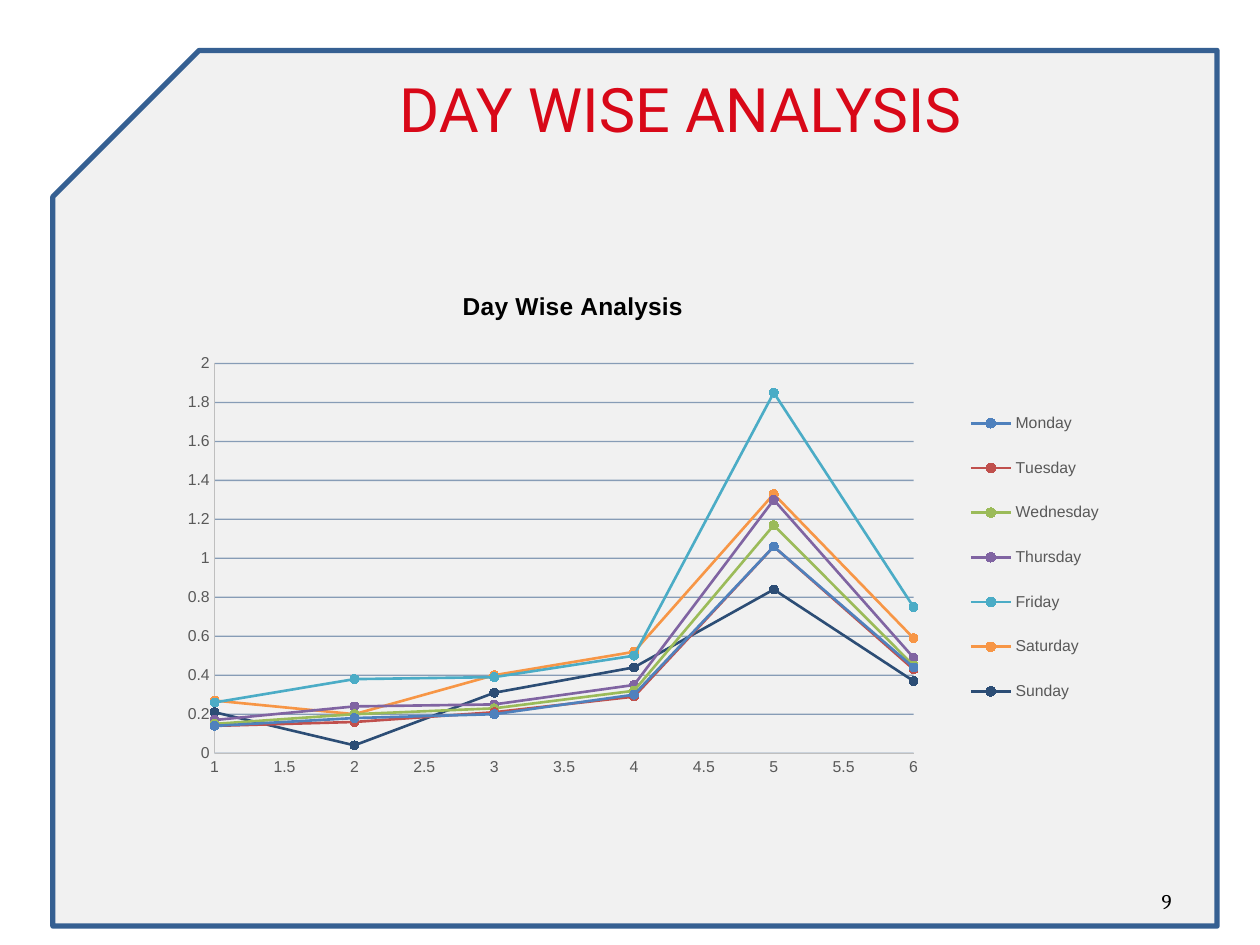
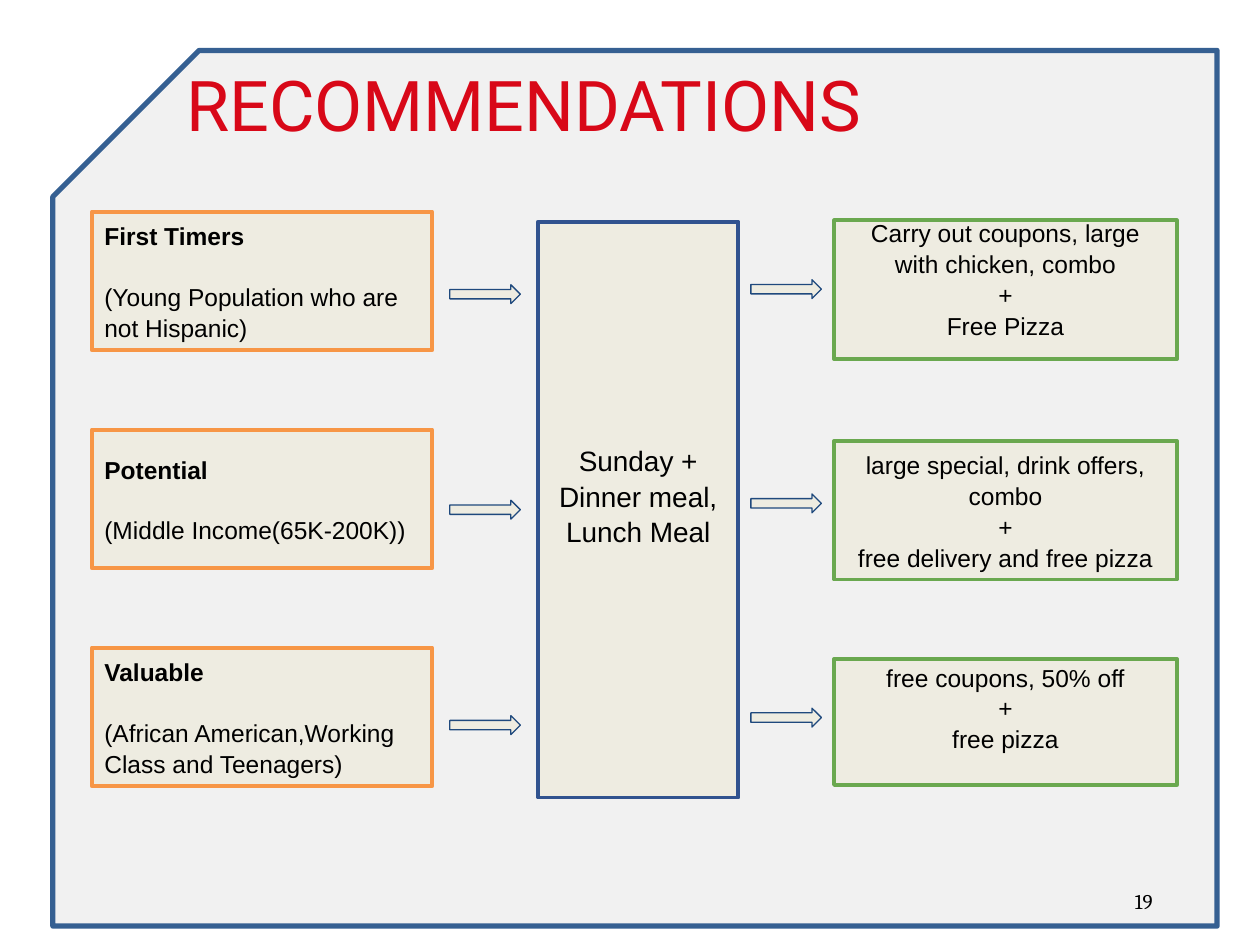
from lxml import etree
from pptx import Presentation
from pptx.chart.data import XyChartData
from pptx.dml.color import RGBColor
from pptx.enum.chart import XL_CHART_TYPE, XL_LEGEND_POSITION, XL_MARKER_STYLE, XL_TICK_MARK
from pptx.enum.shapes import MSO_SHAPE
from pptx.enum.text import MSO_ANCHOR, PP_ALIGN
from pptx.oxml.ns import qn
from pptx.util import Inches, Pt

SNIP, RECT, ARROW = MSO_SHAPE.SNIP_1_RECTANGLE, MSO_SHAPE.RECTANGLE, MSO_SHAPE.RIGHT_ARROW
LEFT, CENTER = PP_ALIGN.LEFT, PP_ALIGN.CENTER
MIDDLE = MSO_ANCHOR.MIDDLE
SCATTER = XL_CHART_TYPE.XY_SCATTER_LINES
RIGHT = XL_LEGEND_POSITION.RIGHT
CIRCLE = XL_MARKER_STYLE.CIRCLE
NO_TICK = XL_TICK_MARK.NONE

DAYS = [
    ("Monday", "4F81BD", (0.14, 0.18, 0.2, 0.3, 1.06, 0.44)),
    ("Tuesday", "C0504D", (0.14, 0.16, 0.21, 0.29, 1.06, 0.43)),
    ("Wednesday", "9BBB59", (0.15, 0.2, 0.23, 0.32, 1.17, 0.45)),
    ("Thursday", "8064A2", (0.17, 0.24, 0.25, 0.35, 1.3, 0.49)),
    ("Friday", "4BACC6", (0.26, 0.38, 0.39, 0.5, 1.85, 0.75)),
    ("Saturday", "F79646", (0.27, 0.2, 0.4, 0.52, 1.33, 0.59)),
    ("Sunday", "2C4D75", (0.21, 0.04, 0.31, 0.44, 0.84, 0.37)),
]
GROUPS = [
    ("First Timers", "(Young Population who are not Hispanic)"),
    ("Potential", "(Middle Income(65K-200K))"),
    ("Valuable", "(African American,Working Class and Teenagers)"),
]
OFFERS = [
    (1.75, 1.1, 0.28, ("Carry out coupons, large with chicken, combo", "+", "Free Pizza")),
    (3.5, 1.1, 0.1, ("large special, drink offers, combo", "+", "free delivery and free pizza")),
    (5.23, 1, 0.33, ("free coupons, 50% off", "+", "free pizza")),
]


def color(code):
    return RGBColor.from_string(code)


def fade(root, share):
    tone = root.find(".//" + qn("a:srgbClr"))
    etree.SubElement(tone, qn("a:alpha"), val=str(share * 1000))


def place(part, spot, index, inner=False):
    for old in part.findall(qn("c:layout")):
        part.remove(old)
    layout = etree.Element(qn("c:layout"))
    manual = etree.SubElement(layout, qn("c:manualLayout"))
    if inner:
        etree.SubElement(manual, qn("c:layoutTarget"), val="inner")
    for key in ("xMode", "yMode"):
        etree.SubElement(manual, qn("c:" + key), val="edge")
    for key, share in zip("xywh", spot):
        etree.SubElement(manual, qn("c:" + key), val=str(share))
    part.insert(index, layout)


class Deck:
    red, black, gray = "D80818", "000000", "595959"
    cream, navy = "EEECE1", "1F497D"

    def __init__(self):
        self.show = Presentation()
        self.show.slide_width, self.show.slide_height = Inches(10), Inches(7.5)
        self.slide = None

    def page(self, title, spot, size, align, number, corner):
        self.slide = self.show.slides.add_slide(self.show.slide_layouts[6])
        frame = self.shape(SNIP, (0.42, 0.4, 9.24, 6.95), "D8D8D8", "366092", 3)
        frame.adjustments[0] = 0.167
        frame.element.spPr.xfrm.set("flipH", "1")
        fade(frame.element.spPr, 34)
        self.label(title, spot, size, "Roboto", self.red, align, 0.1)
        self.label(number, corner, 12, "Cambria", self.black, LEFT, 0.05)

    def font(self, font, size, name, tone, bold=False):
        font.size, font.name, font.bold = Pt(size), name, bold
        font.color.rgb = color(tone)

    def text(self, shape, lines, size, name, tone, align, pad=0.1, foot=None):
        frame = shape.text_frame
        frame.word_wrap = True
        frame.vertical_anchor = MIDDLE
        frame.margin_left = frame.margin_right = Inches(0.1)
        frame.margin_top = Inches(pad)
        frame.margin_bottom = Inches(foot or pad)
        frame.text = "\n".join(lines)
        for para in frame.paragraphs:
            para.alignment = align
            for run in para.runs:
                self.font(run.font, size, name, tone)
        return frame.paragraphs

    def label(self, text, spot, size, name, tone, align, pad):
        box = self.slide.shapes.add_textbox(*map(Inches, spot))
        self.text(box, [text], size, name, tone, align, pad)

    def shape(self, kind, spot, fill, line, width):
        shape = self.slide.shapes.add_shape(kind, *map(Inches, spot))
        shape.shadow.inherit = False
        shape.fill.solid()
        shape.fill.fore_color.rgb = color(fill)
        shape.line.color.rgb = color(line)
        shape.line.width = Pt(width)
        return shape

    def card(self, spot, line, lines, align=CENTER, size=14, foot=None):
        box = self.shape(RECT, spot, self.cream, line, 2.25)
        paras = self.text(box, lines, size, "Arial", self.black, align, foot=foot)
        for para in paras:
            para.line_spacing = 1.05
        return paras

    def arrow(self, left, top):
        self.shape(ARROW, (left, top, 0.56, 0.15), self.cream, self.navy, 0.75)

    def axis(self, axis, low, high, step):
        axis.minimum_scale, axis.maximum_scale, axis.major_unit = low, high, step
        axis.has_major_gridlines = axis.has_title = False
        axis.major_tick_mark = axis.minor_tick_mark = NO_TICK
        self.font(axis.tick_labels.font, 9, "Arial", self.gray)
        axis.format.line.color.rgb = color("BFBFBF")
        axis.format.line.width = Pt(0.75)

    def chart(self, title, spot, rows):
        data = XyChartData()
        for name, _, values in rows:
            line = data.add_series(name)
            for x, y in enumerate(values, 1):
                line.add_data_point(x, y)
        chart = self.slide.shapes.add_chart(SCATTER, *map(Inches, spot), data).chart
        self.font(chart.font, 10, "Arial", self.black)
        plot = chart.plots[0]
        plot.vary_by_categories = False
        for line, (_, tone, _) in zip(plot.series, rows):
            line.smooth = False
            line.format.line.color.rgb = color(tone)
            line.format.line.width = Pt(1.5)
            mark = line.marker
            mark.style, mark.size = CIRCLE, 5
            mark.format.fill.solid()
            mark.format.fill.fore_color.rgb = color(tone)
            mark.format.line.color.rgb = color(tone)
        self.axis(chart.category_axis, 1, 6, 0.5)
        self.axis(chart.value_axis, 0, 2, 0.2)
        grid = chart.value_axis.major_gridlines.format.line
        grid.color.rgb = color(self.navy)
        grid.width = Pt(0.75)
        chart.has_title = True
        head = chart.chart_title.text_frame
        head.text = title
        self.font(head.paragraphs[0].runs[0].font, 14, "Arial", self.black, True)
        chart.has_legend = True
        chart.legend.position = RIGHT
        chart.legend.include_in_layout = False
        self.font(chart.legend.font, 9, "Arial", self.gray)
        root = chart.element
        fade(root.find(".//" + qn("c:majorGridlines")), 50)
        place(root.find(".//" + qn("c:plotArea")), (0.067, 0.177, 0.697, 0.689), 0, True)
        place(root.find(".//" + qn("c:title")), (0.31, 0.04), 1)
        place(root.find(".//" + qn("c:legend")), (0.81, 0.22, 0.15, 0.6), 1)


def main():
    deck = Deck()
    deck.page("DAY WISE ANALYSIS", (1.42, 0.5, 7.96, 0.72), 35, CENTER,
              "9", (9.12, 6.95, 0.41, 0.4))
    deck.chart("Day Wise Analysis", (1.17, 2.09, 7.96, 4.49), DAYS)

    deck.page("RECOMMENDATIONS", (1.38, 0.46, 7.96, 0.72), 40, LEFT,
              "19", (8.91, 6.95, 0.63, 0.4))
    for row, group in enumerate(GROUPS):
        name, detail = deck.card((0.73, 1.68 + 1.73 * row, 2.7, 1.1), "F79646", group, LEFT)
        name.runs[0].font.bold = True
        detail.space_before = Pt(17)
    deck.card((4.27, 1.76, 1.59, 4.57), "31538F",
              ("Sunday +", "Dinner meal, Lunch Meal"), size=16, foot=0.33)
    for top, height, foot, lines in OFFERS:
        deck.card((6.62, top, 2.72, height), "6AA84F", lines, foot=foot)
    for row in range(3):
        deck.arrow(3.57, 2.26 + 1.71 * row)
        deck.arrow(5.96, 2.22 + 1.7 * row)
    deck.show.save("out.pptx")


if __name__ == "__main__":
    main()
